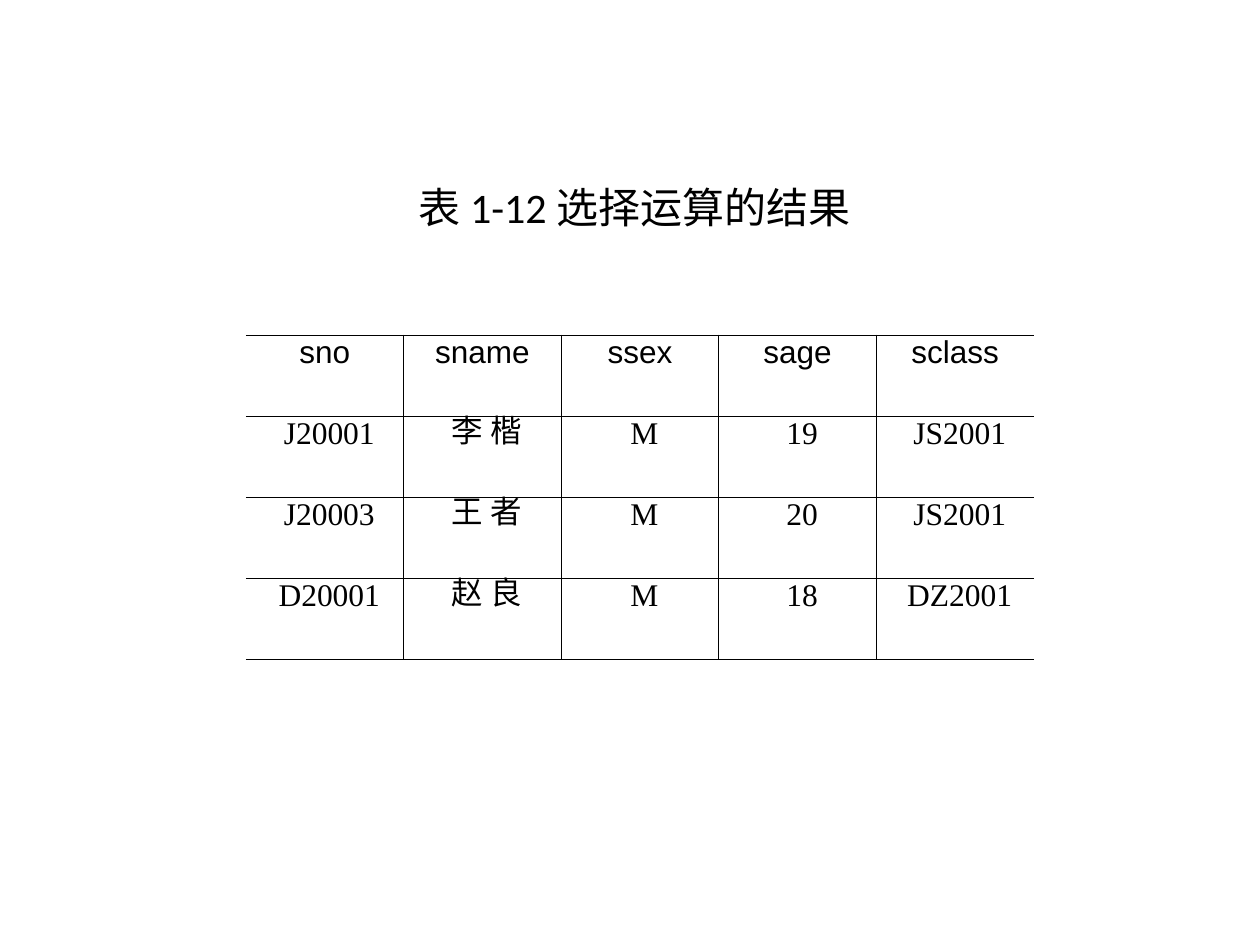
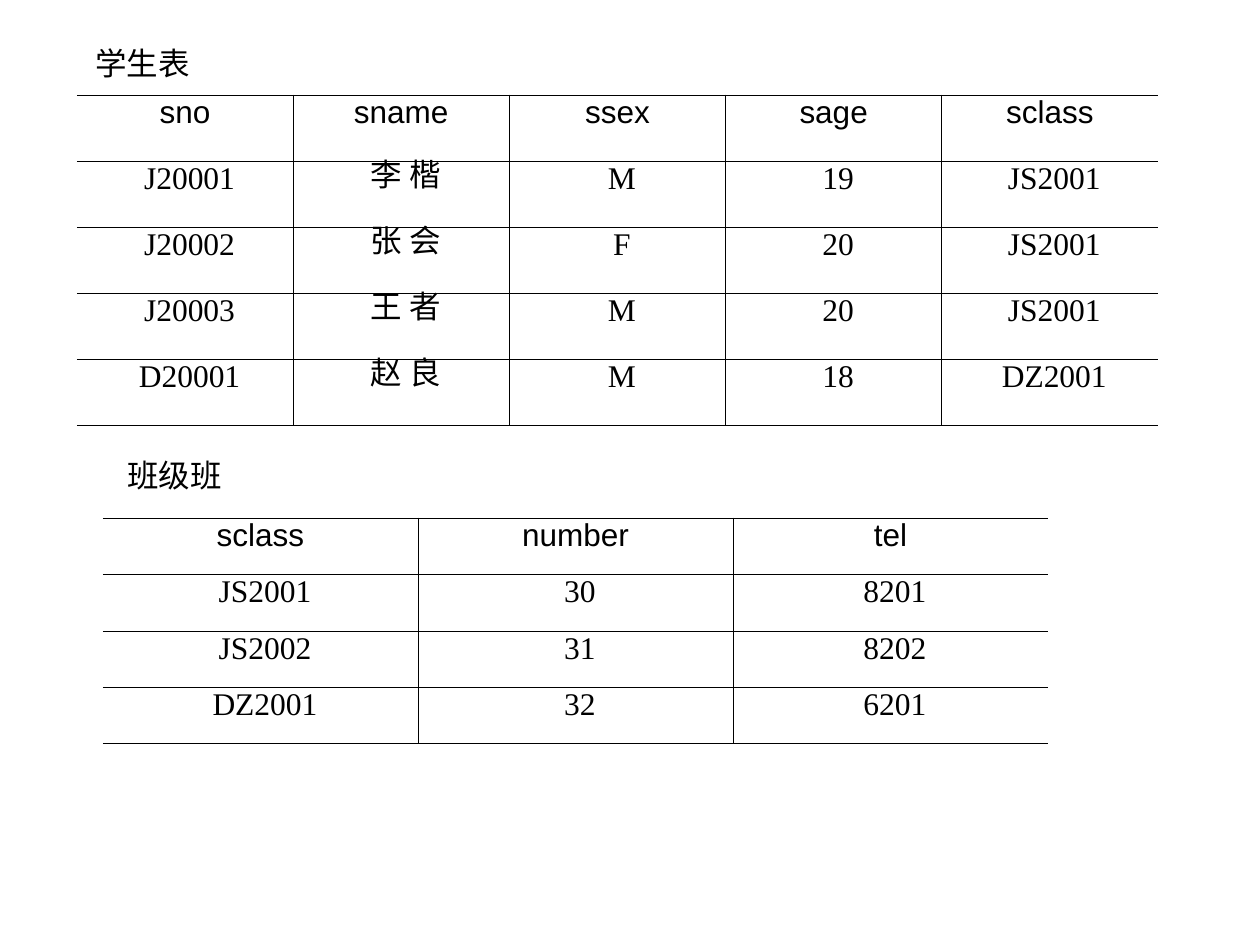
from lxml.etree import SubElement
from pptx import Presentation
from pptx.dml.color import RGBColor
from pptx.enum.text import MSO_AUTO_SIZE as AutoSize, PP_ALIGN as Align
from pptx.oxml.ns import qn
from pptx.util import Emu, Pt

PX_PER_INCH = 126
STUDENT_FIELDS = ["sno", "sname", "ssex", "sage", "sclass"]
LI = ["J20001", "李 楷", "M", "19", "JS2001"]
ZHANG = ["J20002", "张 会", "F", "20", "JS2001"]
WANG = ["J20003", "王 者", "M", "20", "JS2001"]
ZHAO = ["D20001", "赵 良", "M", "18", "DZ2001"]
CLASS_FIELDS = ["sclass", "number", "tel"]
CLASSES = [
    ["JS2001", "30", "8201"],
    ["JS2002", "31", "8202"],
    ["DZ2001", "32", "6201"],
]


def px(length):
    return Emu(round(length * 914400 / PX_PER_INCH))


def color(hex_code):
    return RGBColor.from_string(hex_code)


class SlideBuilder:
    ink = "000000"
    paper = "FFFFFF"
    title_font = "Calibri"
    head_font = "Arial"
    body_font = "Times New Roman"
    text_size = 18
    title_size = 24
    rule_width = Pt(0.45)
    line_height = Pt(16.6)
    body_indent = px(9)

    def __init__(self):
        self.deck = Presentation()
        self.deck.slide_width, self.deck.slide_height = px(1260), px(945)
        self.slide = None

    def new_slide(self):
        self.slide = self.deck.slides.add_slide(self.deck.slide_layouts[6])
        fill = self.slide.background.fill
        fill.solid()
        fill.fore_color.rgb = color(self.paper)

    def add_span(self, para, text, font, size):
        span = para.add_run()
        span.text = text
        span.font.name = font
        span.font.size = Pt(size)
        span.font.color.rgb = color(self.ink)

    def text_box(self, left, top, width, height):
        box = self.slide.shapes.add_textbox(px(left), px(top), px(width), px(height))
        box.text_frame.word_wrap = True
        return box.text_frame

    def title(self, text, left, top, width, height):
        para = self.text_box(left, top, width, height).paragraphs[0]
        para.alignment = Align.CENTER
        para.space_before = Pt(6)
        self.add_span(para, text, self.title_font, self.title_size)

    def caption(self, text, left, top, width, height):
        frame = self.text_box(left, top, width, height)
        frame.auto_size = AutoSize.SHAPE_TO_FIT_TEXT
        self.add_span(frame.paragraphs[0], text, self.head_font, self.text_size)

    def rule_cell(self, cell, open_sides):
        """Rule every side of the cell except the open ones."""
        props = cell._tc.get_or_add_tcPr()
        for side in ("lnL", "lnR", "lnT", "lnB"):
            line = SubElement(props, qn(f"a:{side}"), w=str(self.rule_width))
            if side in open_sides:
                SubElement(line, qn("a:noFill"))
            else:
                fill = SubElement(line, qn("a:solidFill"))
                SubElement(fill, qn("a:srgbClr"), val=self.ink)

    def table(self, rows, left, top, width, height):
        """Add an evenly spaced table, open at left and right, headed by its first row."""
        last = len(rows[0]) - 1
        table = self.slide.shapes.add_table(
            len(rows), last + 1, px(left), px(top), px(width), px(height)).table
        table.first_row = table.horz_banding = False
        for r, row in enumerate(rows):
            for c, text in enumerate(row):
                cell = table.cell(r, c)
                cell.margin_left = cell.margin_right = px(10)
                cell.margin_top = cell.margin_bottom = px(6)
                self.rule_cell(cell, {"lnL"} if c == 0 else {"lnR"} if c == last else ())
                cell.fill.background()
                para = cell.text_frame.paragraphs[0]
                para.alignment = Align.CENTER
                para.line_spacing = self.line_height
                if r:
                    props = para._p.get_or_add_pPr()
                    props.set("marL", str(self.body_indent))
                    props.set("indent", "0")
                font = self.body_font if r else self.head_font
                self.add_span(para, text, font, self.text_size)


def main():
    builder = SlideBuilder()

    builder.new_slide()
    builder.title("表 1-12 选择运算的结果", 94, 175, 1081, 624)
    builder.table([STUDENT_FIELDS, LI, WANG, ZHAO], 246, 335, 788, 325)

    builder.new_slide()
    builder.table([STUDENT_FIELDS, LI, ZHANG, WANG, ZHAO], 77, 95, 1081, 330)
    builder.caption("学生表", 83, 38, 229, 50)
    builder.table([CLASS_FIELDS, *CLASSES], 103, 518, 945, 226)
    builder.caption("班级班", 115, 450, 168, 50)

    builder.deck.save("out.pptx")


if __name__ == "__main__":
    main()
